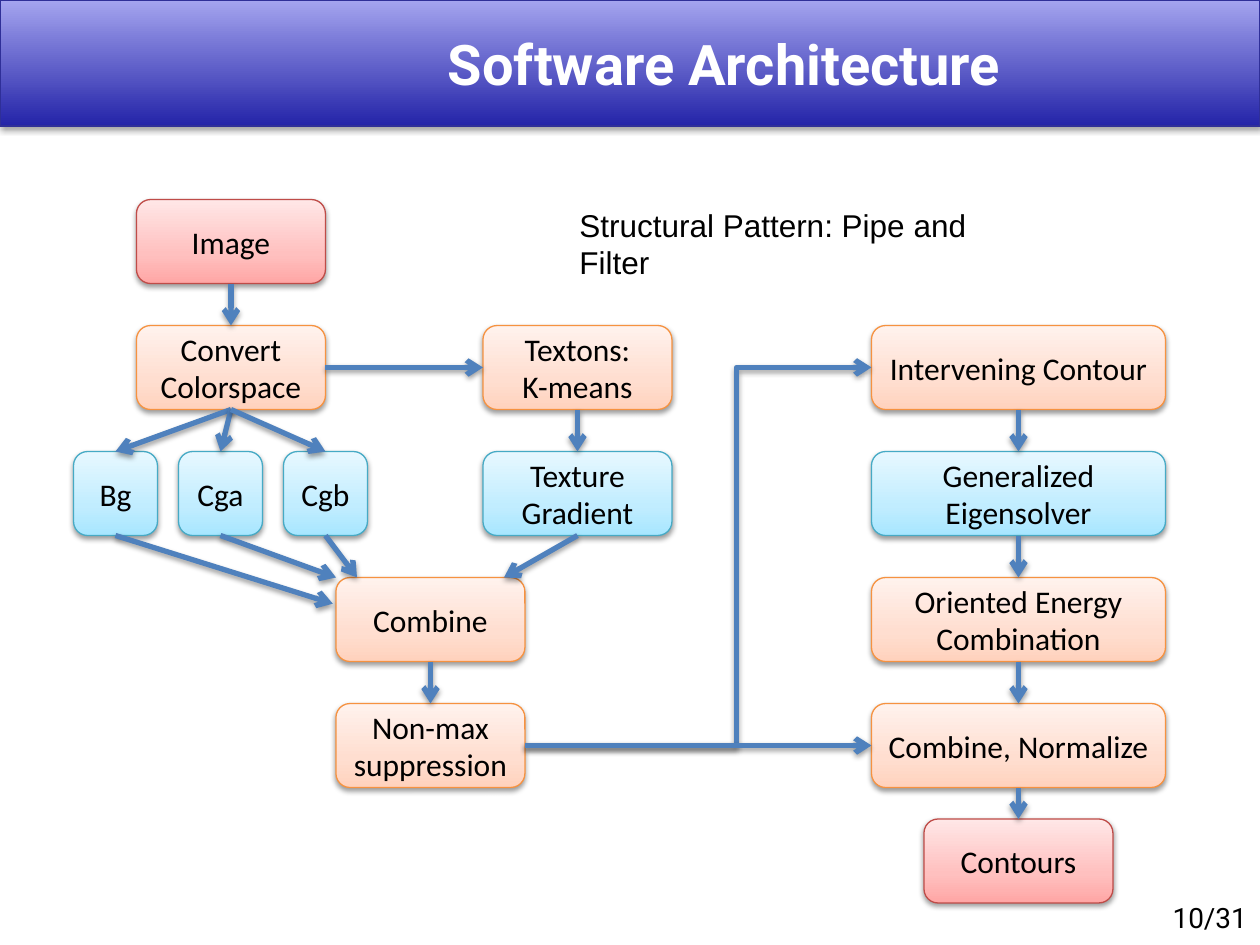
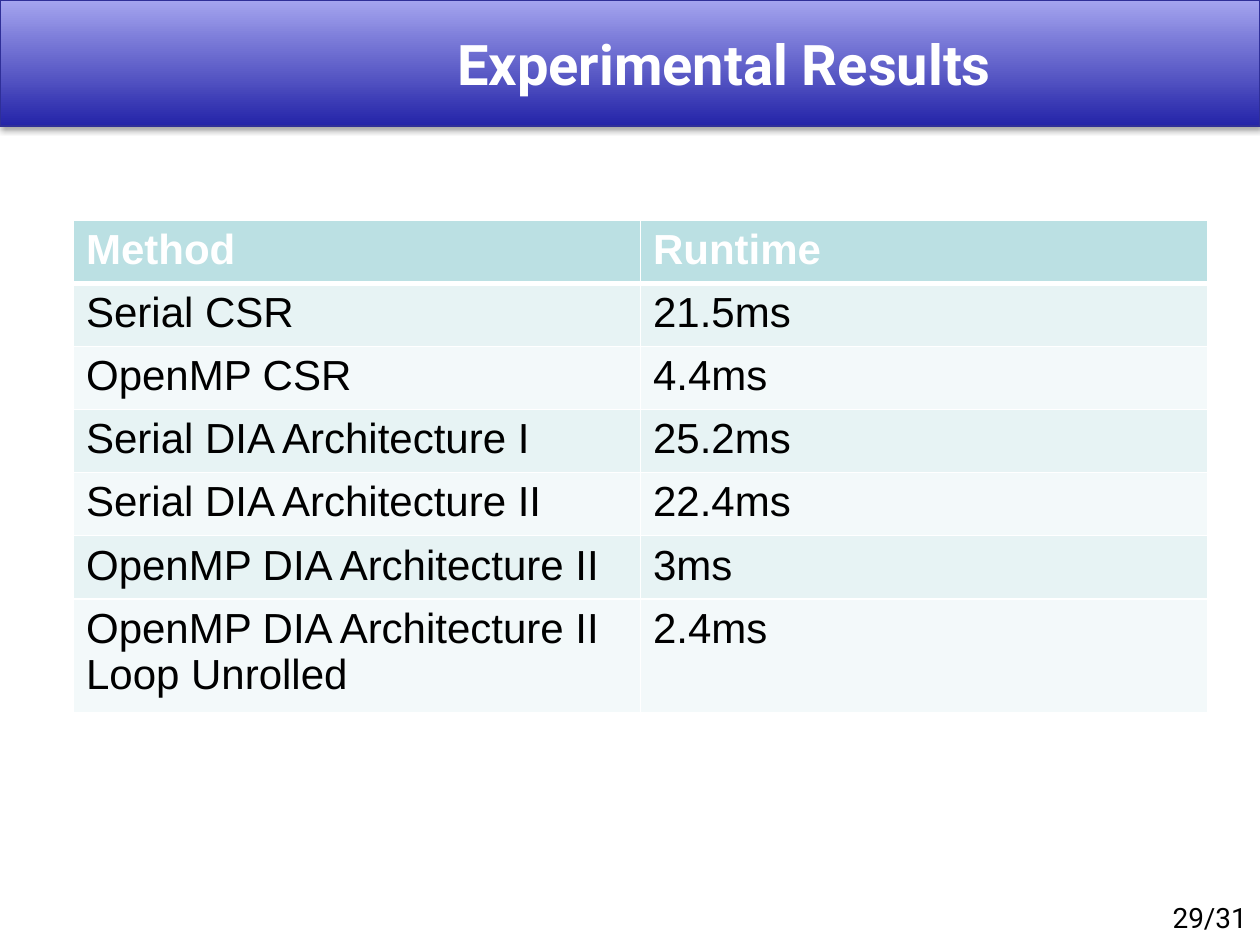
from dataclasses import dataclass
from typing import Optional

from lxml.etree import SubElement
from pptx import Presentation
from pptx.dml.color import RGBColor
from pptx.enum.shapes import MSO_CONNECTOR, MSO_SHAPE
from pptx.enum.text import MSO_ANCHOR, PP_ALIGN
from pptx.oxml.ns import qn
from pptx.util import Emu, Inches, Pt

# Twelve grid units to the inch: the slide is 120 columns by 90 rows
COLUMNS, ROWS = 120, 90
BOX_HEIGHT = 8
TABLE_ROW_HEIGHT = 4.92

BLACK, WHITE = "000000", "FFFFFF"
ARROW_BLUE = "4F81BD"
HEADER_FILL = "BBE0E3"
STRIPES = ("E7F3F4", "F3F9FA")


@dataclass(frozen=True)
class Style:
    stops: tuple[tuple[int, str], ...]  # percent from the bottom, colour
    outline: str
    shadow_opacity: int = 38
    shadow_distance: float = 1.6


BAND = Style(((0, "2424A8"), (100, "A4A4EF")), "2F2F98", 35, 1.8)
DATA = Style(((0, "FFA6A5"), (35, "FFC0BF"), (100, "FFE7E7")), "BF4C48")
STEP = Style(((0, "FFD2BD"), (35, "FFDED0"), (100, "FFF2ED")), "F69240")
KERNEL = Style(((0, "A7E6FF"), (35, "C1EDFF"), (100, "E7F8FF")), "46AAC5")


@dataclass(frozen=True)
class Box:
    text: str
    column: float
    row: float
    style: Style
    width: float = 18

    @property
    def top(self):
        return self.column + self.width / 2, self.row

    @property
    def bottom(self):
        return self.column + self.width / 2, self.row + BOX_HEIGHT

    @property
    def left(self):
        return self.column, self.row + BOX_HEIGHT / 2

    @property
    def right(self):
        return self.column + self.width, self.row + BOX_HEIGHT / 2


@dataclass(frozen=True)
class Arrow:
    start: tuple[float, float]
    end: tuple[float, float]
    bend: Optional[float] = None  # share of the width where an elbow turns


# Formatting helpers
def units(*values: float) -> list[Emu]:
    return [Inches(value / 12) for value in values]


def colour(value: str) -> RGBColor:
    return RGBColor.from_string(value)


def add_colour(parent, value: str):
    return SubElement(parent, qn("a:srgbClr"), val=value)


def write(frame, text: str, *, size: float, font: str, color: str = BLACK,
          bold: bool = False, align=PP_ALIGN.LEFT, anchor=MSO_ANCHOR.TOP) -> None:
    frame.word_wrap = True
    frame.vertical_anchor = anchor
    frame.text = text
    for paragraph in frame.paragraphs:
        paragraph.alignment = align
        for run in paragraph.runs:
            run.font.size = Pt(size)
            run.font.name = font
            run.font.bold = bold
            run.font.color.rgb = colour(color)


def cast_shadow(effects, opacity: int, distance: float) -> None:
    shadow = SubElement(effects, qn("a:outerShdw"), blurRad=str(Pt(3.1)),
                        dist=str(Pt(distance)), dir="5400000", rotWithShape="0")
    SubElement(add_colour(shadow, BLACK), qn("a:alpha"), val=str(opacity * 1000))


# Drawing helpers
def add_panel(slide, preset, column: float, row: float, width: float,
              height: float, style: Style):
    shape = slide.shapes.add_shape(preset, *units(column, row, width, height))
    shape.fill.gradient()
    shape.fill.gradient_angle = 90
    properties = shape._element.spPr
    stop_list = properties.find(qn("a:gradFill")).find(qn("a:gsLst"))
    for stop in list(stop_list):
        stop_list.remove(stop)
    for position, value in style.stops:
        add_colour(SubElement(stop_list, qn("a:gs"), pos=str(position * 1000)), value)
    shape.line.color.rgb = colour(style.outline)
    shape.line.width = Pt(0.75)
    shape.shadow.inherit = False
    cast_shadow(properties.find(qn("a:effectLst")),
                style.shadow_opacity, style.shadow_distance)
    return shape


def add_label(slide, text: str, column: float, row: float, width: float,
              height: float, **text_format) -> None:
    label = slide.shapes.add_textbox(*units(column, row, width, height))
    write(label.text_frame, text, **text_format)


def add_box(slide, box: Box) -> None:
    shape = add_panel(slide, MSO_SHAPE.ROUNDED_RECTANGLE, box.column, box.row,
                      box.width, BOX_HEIGHT, box.style)
    write(shape.text_frame, box.text, size=18, font="Calibri",
          align=PP_ALIGN.CENTER, anchor=MSO_ANCHOR.MIDDLE)


def add_arrow(slide, arrow: Arrow) -> None:
    kind = MSO_CONNECTOR.STRAIGHT if arrow.bend is None else MSO_CONNECTOR.ELBOW
    connector = slide.shapes.add_connector(kind, *units(*arrow.start, *arrow.end))
    connector.line.color.rgb = colour(ARROW_BLUE)
    connector.line.width = Pt(3)
    properties = connector._element.spPr
    SubElement(properties.find(qn("a:ln")), qn("a:tailEnd"), type="arrow")
    cast_shadow(SubElement(properties, qn("a:effectLst")), 38, 1.6)
    if arrow.bend is not None:
        adjustments = properties.find(qn("a:prstGeom")).get_or_add_avLst()
        SubElement(adjustments, qn("a:gd"), name="adj1",
                   fmla=f"val {round(arrow.bend * 100000)}")


def style_cell(cell, fill: str, bottom_width: float) -> None:
    properties = cell._tc.get_or_add_tcPr()
    for side, width in (("L", 1), ("R", 1), ("T", 1), ("B", bottom_width)):
        border = SubElement(properties, qn(f"a:ln{side}"), w=str(Pt(width)))
        add_colour(SubElement(border, qn("a:solidFill")), WHITE)
    cell.fill.solid()
    cell.fill.fore_color.rgb = colour(fill)


def add_slide(presentation, title: str, page: str):
    slide = presentation.slides.add_slide(presentation.slide_layouts[6])
    slide.background.fill.solid()
    slide.background.fill.fore_color.rgb = colour(WHITE)
    add_panel(slide, MSO_SHAPE.RECTANGLE, 0, 0, COLUMNS, 12, BAND)
    add_label(slide, page, 110.5, 85.2, 12, 4.4, size=16, font="Roboto")
    add_label(slide, title, 18, 0, COLUMNS - 18, 12, size=32, font="Roboto",
              color=WHITE, bold=True, align=PP_ALIGN.CENTER, anchor=MSO_ANCHOR.MIDDLE)
    return slide


# Slides
def build_architecture(presentation) -> None:
    slide = add_slide(presentation, "Software Architecture", "10/31")

    # Feature extraction, on the left
    image = Box("Image", 13, 19, DATA)
    convert = Box("Convert Colorspace", 13, 31, STEP)
    textons = Box("Textons:\nK-means", 46, 31, STEP)
    texture = Box("Texture Gradient", 46, 43, KERNEL)
    channels = [Box(name, 7 + 10 * index, 43, KERNEL, BOX_HEIGHT)
                for index, name in enumerate(("Bg", "Cga", "Cgb"))]
    combine = Box("Combine", 32, 55, STEP)
    suppression = Box("Non-max\nsuppression", 32, 67, STEP)

    # Contour pipeline, on the right
    pipeline = [Box(text, 83, 31 + 12 * index, style, 28)
                for index, (text, style) in enumerate((
                    ("Intervening Contour", STEP),
                    ("Generalized Eigensolver", KERNEL),
                    ("Oriented Energy Combination", STEP),
                    ("Combine, Normalize", STEP)))]
    pipeline.append(Box("Contours", 88, 78, DATA))

    for box in (image, convert, textons, texture, combine, suppression,
                *channels, *pipeline):
        add_box(slide, box)

    # Pipes between the filters
    downward = [(image, convert), (textons, texture), (combine, suppression),
                *((convert, channel) for channel in channels),
                *zip(pipeline, pipeline[1:])]
    arrows = [Arrow(upper.bottom, lower.top) for upper, lower in downward]
    arrows.append(Arrow(convert.right, textons.left))
    entries = ((31.7, 57.5), (32, 55), (34, 55), (48, 55))
    arrows += [Arrow(source.bottom, entry)
               for source, entry in zip((*channels, texture), entries)]
    arrows.append(Arrow(suppression.right, pipeline[0].left, bend=0.61))
    arrows.append(Arrow(suppression.right, pipeline[3].left))
    for arrow in arrows:
        add_arrow(slide, arrow)

    add_label(slide, "Structural Pattern: Pipe and Filter", 54, 19, 43.4, 4.8,
              size=18, font="Arial")


def build_results(presentation) -> None:
    slide = add_slide(presentation, "Experimental Results", "29/31")
    runtimes = (
        ("Method", "Runtime"),
        ("Serial CSR", "21.5ms"),
        ("OpenMP CSR", "4.4ms"),
        ("Serial DIA Architecture I", "25.2ms"),
        ("Serial DIA Architecture II", "22.4ms"),
        ("OpenMP DIA Architecture II", "3ms"),
        ("OpenMP DIA Architecture II Loop Unrolled", "2.4ms"),
    )
    table = slide.shapes.add_table(
        len(runtimes), 2,
        *units(7, 21, 108, TABLE_ROW_HEIGHT * len(runtimes))).table
    for row_index, texts in enumerate(runtimes):
        header = row_index == 0
        fill = HEADER_FILL if header else STRIPES[(row_index - 1) % 2]
        for column_index, text in enumerate(texts):
            cell = table.cell(row_index, column_index)
            style_cell(cell, fill, 3 if header else 1)
            write(cell.text_frame, text, size=24, font="Arial", bold=header,
                  color=WHITE if header else BLACK)


def main() -> None:
    presentation = Presentation()
    presentation.slide_width, presentation.slide_height = units(COLUMNS, ROWS)
    build_architecture(presentation)
    build_results(presentation)
    presentation.save("out.pptx")


if __name__ == "__main__":
    main()
